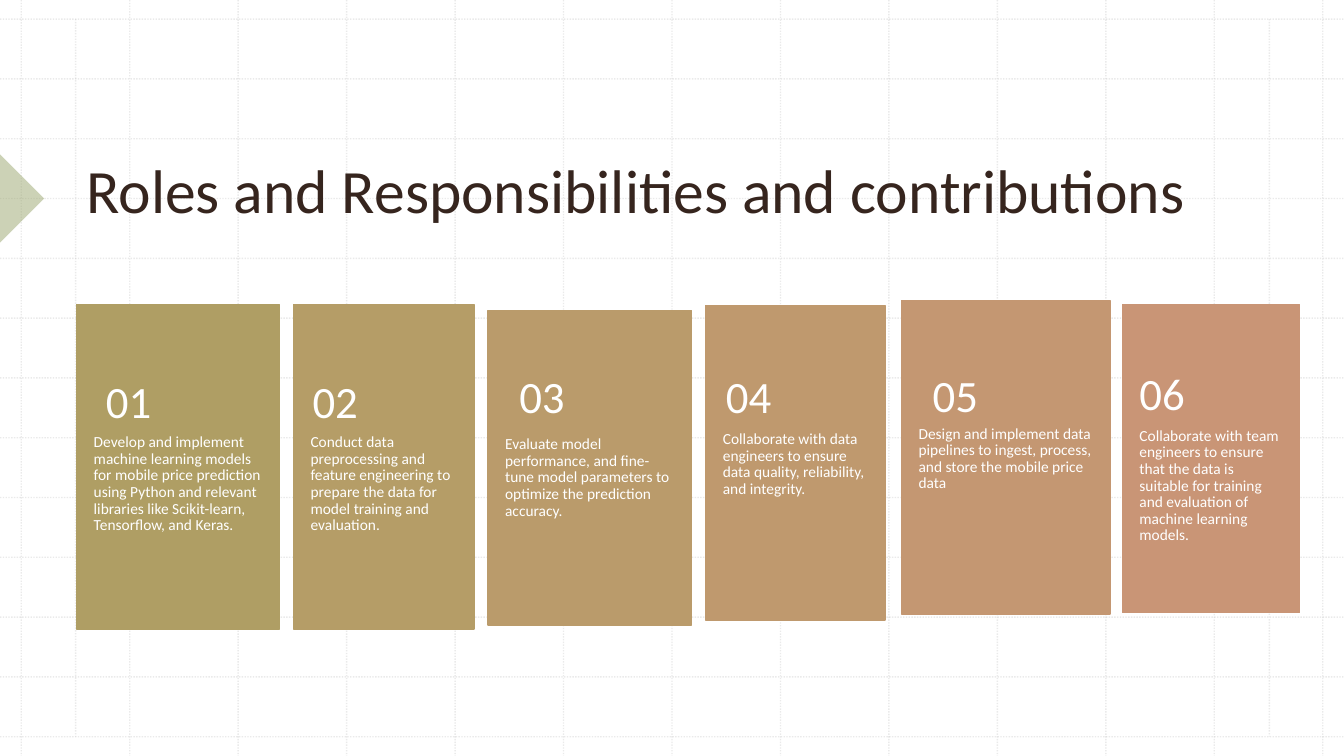
from dataclasses import dataclass

from lxml import etree
from pptx import Presentation
from pptx import util as u
from pptx.dml.color import RGBColor
from pptx.enum import dml, shapes, text
from pptx.oxml import ns


@dataclass(frozen=True)
class Theme:
    font: str = "Calibri"
    title_color: str = "36251E"
    card_text: str = "FFFFFF"
    background: str = "FFFFFF"
    grid: str = "BCBCBC"
    marker: str = "9BA76F"
    cards: tuple = ("AF9E64", "B59D67", "BA9B6B", "BF996E", "C49772", "C99576")
    title_size: int = 44
    number_size: int = 32
    body_size: int = 11
    line_width: int = 1


class Deck:
    def __init__(self, theme):
        self.theme = theme
        self.prs = Presentation()
        self.prs.slide_width = u.Inches(13.33)
        self.prs.slide_height = u.Inches(7.5)
        self.slide = self.prs.slides.add_slide(self.prs.slide_layouts[6])
        fill = self.slide.background.fill
        fill.solid()
        fill.fore_color.rgb = RGBColor.from_string(theme.background)

    def box(self, *shares):
        sizes = (self.prs.slide_width, self.prs.slide_height) * 2
        return [round(size * share / 100) for size, share in zip(sizes, shares)]

    def set_alpha(self, s, percent):
        color = s._element.spPr.find(".//" + ns.qn("a:srgbClr"))
        etree.SubElement(color, ns.qn("a:alpha"), val=str(percent * 1000))

    def line(self, x1, y1, x2, y2):
        s = self.slide.shapes.add_connector(
            shapes.MSO_CONNECTOR.STRAIGHT, *self.box(x1, y1, x2, y2))
        s.line.color.rgb = RGBColor.from_string(self.theme.grid)
        s.line.width = u.Pt(self.theme.line_width)
        s.line.dash_style = dml.MSO_LINE.ROUND_DOT
        self.set_alpha(s, 30)
        etree.SubElement(s._element.spPr, ns.qn("a:effectLst"))

    def shape(self, kind, area, color, outlined=True):
        s = self.slide.shapes.add_shape(kind, *self.box(*area))
        s.shadow.inherit = False
        s.fill.solid()
        s.fill.fore_color.rgb = RGBColor.from_string(color)
        if outlined:
            s.line.color.rgb = RGBColor.from_string(color)
            s.line.width = u.Pt(self.theme.line_width)
        else:
            s.line.fill.background()
        return s

    def text(self, area, words, size, color, anchor, insets):
        tf = self.slide.shapes.add_textbox(*self.box(*area)).text_frame
        tf.word_wrap = True
        tf.vertical_anchor = anchor
        tf.margin_left = tf.margin_right = u.Inches(insets[0])
        tf.margin_top, tf.margin_bottom = map(u.Inches, insets[1:])
        tf.text = words
        p = tf.paragraphs[0]
        p.line_spacing = 0.9
        r = p.runs[0]
        r.font.name = self.theme.font
        r.font.size = u.Pt(size)
        r.font.color.rgb = RGBColor.from_string(color)

    def grid(self):
        left, top, right, bottom = 1.58, 2.53, 98.42, 97.45
        steps = 12
        for i in range(steps + 1):
            x = left + (right - left) * i / steps
            y = top + (bottom - top) * i / steps
            self.line(x, 0, x, 100)
            self.line(0, y, 100, y)
        for x in (5.63, 94.45):
            self.line(x, top, x, bottom)

    def marker(self):
        s = self.shape(shapes.MSO_SHAPE.RIGHT_TRIANGLE,
                       (-2.33, 22.13, 4.65, 8.27), self.theme.marker, False)
        s.rotation = 225
        self.set_alpha(s, 50)

    def title(self, words):
        self.text((5.7, 10.53, 84.7, 20.13), words, self.theme.title_size,
                  self.theme.title_color, text.MSO_ANCHOR.BOTTOM,
                  (0.1, 0.05, 0.05))

    def card(self, i, area, number_top, words):
        t = self.theme
        left, top, width, height = area
        self.shape(shapes.MSO_SHAPE.RECTANGLE, area, t.cards[i])
        self.text((left, top + 0.4 * height, width, 0.6 * height), words,
                  t.body_size, t.card_text, text.MSO_ANCHOR.TOP,
                  (0.17, 0, 0.36))
        self.text((6.6 + 15.38 * i, number_top, 13.2, 11.33), f"{i + 1:02}",
                  t.number_size, t.card_text, text.MSO_ANCHOR.MIDDLE,
                  (0.17, 0.18, 0.18))


ROLES = [
    ((5.7, 40.27, 15.08, 42.93), 47.73,
     "Develop and implement machine learning models for mobile price "
     "prediction using Python and relevant libraries like Scikit-learn, "
     "Tensorflow, and Keras."),
    ((21.83, 40.27, 13.43, 42.93), 47.73,
     "Conduct data preprocessing and feature engineering to prepare the "
     "data for model training and evaluation."),
    ((36.31, 41.07, 15.15, 41.6), 47.07,
     "Evaluate model performance, and fine-tune model parameters to "
     "optimize the prediction accuracy."),
    ((52.51, 40.4, 13.35, 41.6), 47.07,
     "Collaborate with data engineers to ensure data quality, reliability, "
     "and integrity."),
    ((67.07, 39.73, 15.53, 41.47), 46.93,
     "Design and implement data pipelines to ingest, process, and store "
     "the mobile price data"),
    ((83.5, 40.27, 13.2, 40.8), 46.67,
     "Collaborate with team engineers to ensure that the data is suitable "
     "for training and evaluation of machine learning models."),
]


def main():
    deck = Deck(Theme())
    deck.grid()
    deck.marker()
    deck.title("Roles and Responsibilities and contributions")
    for i, role in enumerate(ROLES):
        deck.card(i, *role)
    deck.prs.save("out.pptx")


if __name__ == "__main__":
    main()
